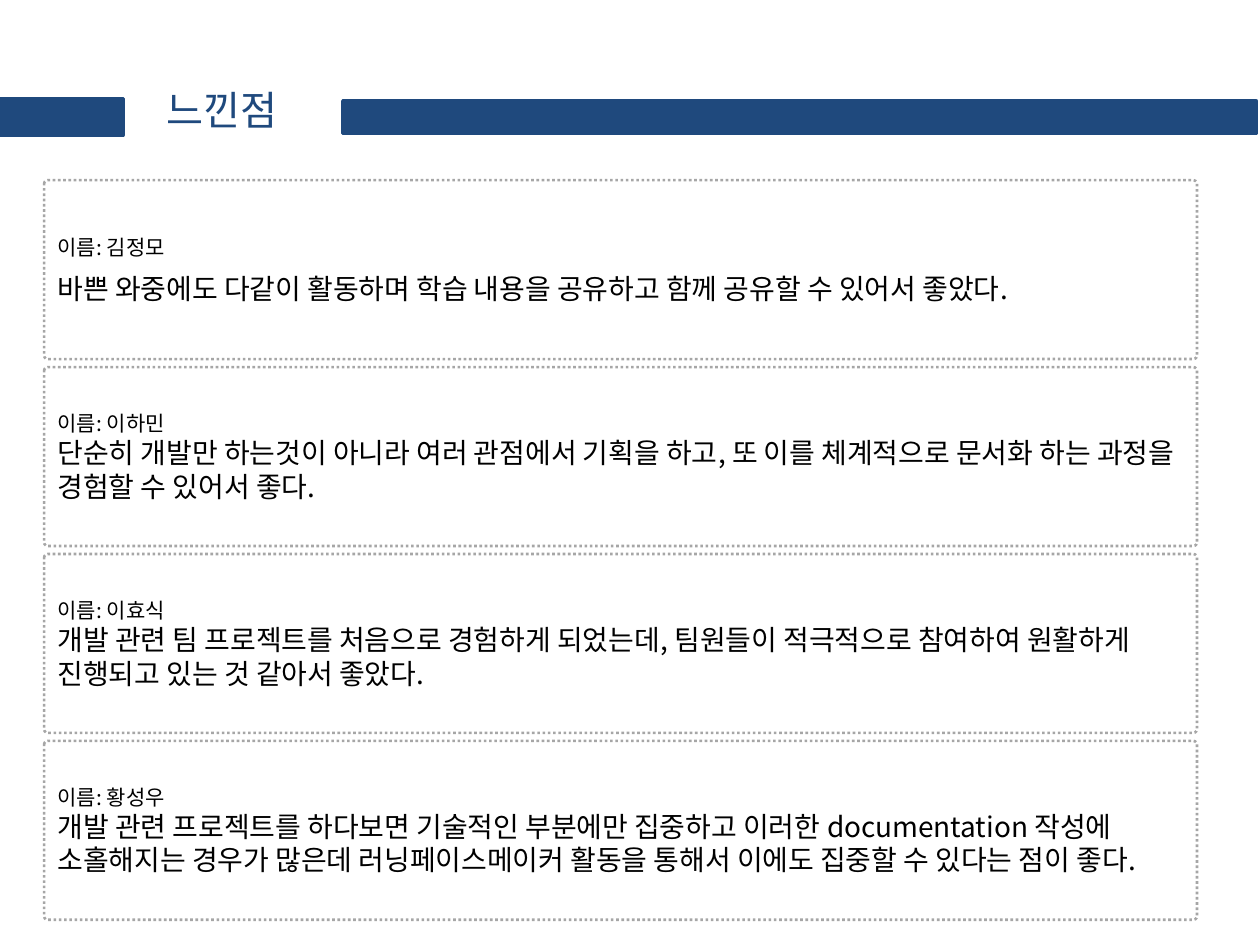
from dataclasses import dataclass

from lxml.etree import SubElement
from pptx import Presentation
from pptx.dml.color import RGBColor
from pptx.enum.dml import MSO_LINE
from pptx.enum.shapes import MSO_SHAPE
from pptx.enum.text import MSO_ANCHOR, MSO_AUTO_SIZE, PP_ALIGN
from pptx.oxml.ns import qn
from pptx.util import Inches, Pt


@dataclass(frozen=True)
class Theme:
    """Colours, font and type sizes of the slide."""
    navy: RGBColor = RGBColor(0x1F, 0x49, 0x7D)
    grey: RGBColor = RGBColor(0xA6, 0xA6, 0xA6)
    black: RGBColor = RGBColor(0, 0, 0)
    font: str = "Noto Sans CJK KR"
    title: Pt = Pt(23)
    name: Pt = Pt(12)
    body: Pt = Pt(16)


THEME = Theme()
CARDS = [
    ("김정모", "바쁜 와중에도 다같이 활동하며 학습 내용을 공유하고 함께 공유할 수 있어서 좋았다.",
     {"alignment": PP_ALIGN.JUSTIFY, "space_after": Pt(7)}),
    ("이하민", "단순히 개발만 하는것이 아니라 여러 관점에서 기획을 하고, 또 이를 체계적으로 "
     "문서화 하는 과정을 경험할 수 있어서 좋다.", {"alignment": PP_ALIGN.LEFT}),
    ("이효식", "개발 관련 팀 프로젝트를 처음으로 경험하게 되었는데, 팀원들이 적극적으로 "
     "참여하여 원활하게 진행되고 있는 것 같아서 좋았다.", {"alignment": PP_ALIGN.LEFT}),
    ("황성우", "개발 관련 프로젝트를 하다보면 기술적인 부분에만 집중하고 이러한 documentation 작성에 "
     "소홀해지는 경우가 많은데 러닝페이스메이커 활동을 통해서 이에도 집중할 수 있다는 점이 좋다.",
     {"alignment": PP_ALIGN.LEFT}),
]


def apply(obj, values):
    """Set every attribute in a dict of format values."""
    for key, value in values.items():
        setattr(obj, key, value)


def add_text(p, text, size, color):
    """Add a run in the theme font for Latin and Korean letters."""
    r = p.add_run()
    r.text = text
    apply(r.font, {"name": THEME.font, "size": size})
    r.font.color.rgb = color
    SubElement(r.font._element, qn("a:ea"), typeface=THEME.font)


def add_bar(s, x, y, w, h):
    """Place a solid header bar in the given box."""
    sp = s.shapes.add_shape(MSO_SHAPE.RECTANGLE, x, y, w, h)
    sp.shadow.inherit = False
    sp.fill.solid()
    sp.fill.fore_color.rgb = THEME.navy
    sp.line.color.rgb = THEME.navy
    sp.line.width = Pt(2)


def add_header(s, x, y, w, h):
    """Place the title between two bars in the given box."""
    add_bar(s, x + Inches(2.74), y + Inches(0.17), w - Inches(2.74), Inches(0.26))
    add_bar(s, x, y + Inches(0.15), Inches(1), Inches(0.29))
    tf = s.shapes.add_textbox(x + Inches(1.24), y, Inches(1.26), h).text_frame
    apply(tf, {"word_wrap": True, "auto_size": MSO_AUTO_SIZE.SHAPE_TO_FIT_TEXT})
    add_text(tf.paragraphs[0], "느낀점", THEME.title, THEME.navy)


def add_card(s, x, y, w, h, name, comment, style):
    """Place one member's comment in a dotted frame."""
    sp = s.shapes.add_shape(MSO_SHAPE.ROUNDED_RECTANGLE, x, y, w, h)
    sp.adjustments[0] = 0.02
    sp.shadow.inherit = False
    sp.fill.background()
    sp.line.color.rgb = THEME.grey
    apply(sp.line, {"width": Pt(1.5), "dash_style": MSO_LINE.ROUND_DOT})
    tf = sp.text_frame
    apply(tf, {"word_wrap": True, "vertical_anchor": MSO_ANCHOR.MIDDLE})
    p = tf.paragraphs[0]
    apply(p, style)
    add_text(p, f"이름: {name}", THEME.name, THEME.black)
    p = tf.add_paragraph()
    p.alignment = style["alignment"]
    add_text(p, comment, THEME.body, THEME.black)


def add_cards(s, x, y, w, h):
    """Stack the comment cards with equal gaps in the given box."""
    card_h = Inches(1.42)
    step = (h - card_h) // (len(CARDS) - 1)
    for i, card in enumerate(CARDS):
        add_card(s, x, y + i * step, w, card_h, *card)


def main():
    """Build and save the slide."""
    prs = Presentation()
    apply(prs, {"slide_width": Inches(10), "slide_height": Inches(7.5)})
    s = prs.slides.add_slide(prs.slide_layouts[6])
    add_header(s, Inches(-0.02), Inches(0.63), Inches(9.99), Inches(0.49))
    add_cards(s, Inches(0.35), Inches(1.43), Inches(9.15), Inches(5.87))
    prs.save("out.pptx")


if __name__ == "__main__":
    main()
